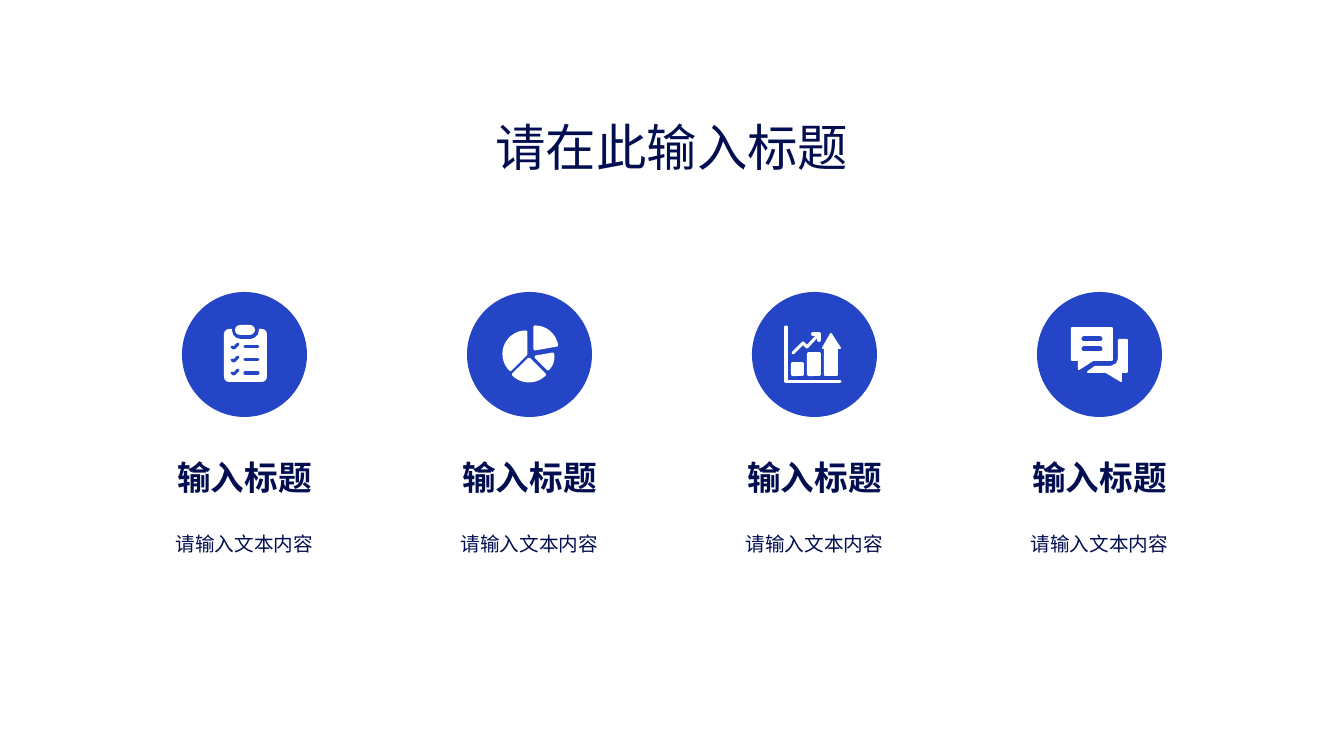
from math import cos, radians, sin

from lxml.etree import SubElement
from pptx import Presentation
from pptx.dml.color import RGBColor
from pptx.enum.shapes import MSO_CONNECTOR as Connector, MSO_SHAPE as Shape
from pptx.enum.text import MSO_ANCHOR as Anchor, MSO_AUTO_SIZE as AutoSize, PP_ALIGN as Align
from pptx.oxml.ns import qn
from pptx.util import Pt

COLORS = {"blue": "2345C6", "navy": "020E50", "white": "FFFFFF"}
FONT = "Calibri"
EMU_PER_PX = 914400 / 100.8


def px(length):
    return round(length * EMU_PER_PX)


def color(name):
    return RGBColor.from_string(COLORS[name])


class Canvas:
    """Style and current slide; icon parts are placed relative to origin."""

    def __init__(self, deck):
        self.slide = deck.slides.add_slide(deck.slide_layouts[5])
        self.shapes = self.slide.shapes
        self.origin = (0, 0)

    def at(self, x, y):
        return px(self.origin[0] + x), px(self.origin[1] + y)

    def style_text(self, holder, text, size, bold=False):
        frame = holder.text_frame
        frame.text = text
        frame.word_wrap = True
        frame.auto_size = AutoSize.NONE
        frame.vertical_anchor = Anchor.TOP
        paragraph = frame.paragraphs[0]
        paragraph.alignment = Align.CENTER
        font = paragraph.runs[0].font
        font.name, font.size, font.bold = FONT, Pt(size), bold
        font.color.rgb = color("navy")

    def title(self, text, left, top, width, height, size):
        title = self.shapes.title
        title.left, title.top = px(left), px(top)
        title.width, title.height = px(width), px(height)
        self.style_text(title, text, size)

    def text(self, text, x, y, width, height, size, bold=False):
        box = self.shapes.add_textbox(*self.at(x, y), px(width), px(height))
        self.style_text(box, text, size, bold)

    def block(self, kind, x, y, width, height, fill="white", radius=0):
        block = self.shapes.add_shape(kind, *self.at(x, y), px(width), px(height))
        block.shadow.inherit = False
        block.fill.solid()
        block.fill.fore_color.rgb = color(fill)
        block.line.fill.background()
        if radius:
            block.adjustments[0] = radius / min(width, height)

    def round_stroke(self, shape, width, ink):
        shape.line.color.rgb = color(ink)
        shape.line.width = px(width)
        ln = shape._element.spPr.find(qn("a:ln"))
        ln.set("cap", "rnd")
        SubElement(ln, qn("a:round"))

    def outline(self, points, stroke, closed=True):
        start, *rest = [self.at(x, y) for x, y in points]
        builder = self.shapes.build_freeform(*start)
        builder.add_line_segments(rest, close=closed)
        outline = builder.convert_to_shape()
        outline.shadow.inherit = False
        if closed:
            outline.fill.solid()
            outline.fill.fore_color.rgb = color("white")
        else:
            outline.fill.background()
        self.round_stroke(outline, stroke, "white")

    def sector(self, x, y, radius, first, last):
        arc = [(x + radius * cos(radians(a)), y + radius * sin(radians(a)))
               for a in range(first, last + 1, 5)]
        self.outline([(x, y), *arc], 3)

    def line(self, x1, y1, x2, y2, stroke):
        line = self.shapes.add_connector(
            Connector.STRAIGHT, *self.at(x1, y1), *self.at(x2, y2))
        self.round_stroke(line, stroke, "blue")
        SubElement(line._element.spPr, qn("a:effectLst"))


def checklist(canvas):
    # Board, clip gap and clip
    canvas.block(Shape.ROUNDED_RECTANGLE, 42, 37, 43, 53, radius=5)
    canvas.block(Shape.ROUNDED_RECTANGLE, 50, 29, 27, 18, "blue", radius=9)
    canvas.block(Shape.ROUNDED_RECTANGLE, 53, 33, 20, 10, radius=5)
    # Ticked rows
    for row in (55, 68, 81):
        canvas.line(50, row, 52, row + 1, 3)
        canvas.line(52, row + 1, 56, row - 3, 3)
        canvas.line(63, row, 76, row, 3)


def pie_slices(canvas):
    for slice_geometry in ((68, 57, 22, -90, -10), (62, 67, 22, 45, 135),
                           (69, 65, 17, -10, 45), (59, 62, 22, 135, 270)):
        canvas.sector(*slice_geometry)


def growth_chart(canvas):
    # Axes, trend line and its head
    canvas.outline([(34, 35), (34, 89), (88, 89)], 3, closed=False)
    canvas.outline([(41, 61), (51, 51), (55, 55), (67, 42)], 3, closed=False)
    canvas.outline([(61, 42), (67, 42), (67, 48)], 4, closed=False)
    # Bars and the rising arrow
    canvas.block(Shape.ROUNDED_RECTANGLE, 39, 70, 13, 14, radius=2)
    canvas.block(Shape.ROUNDED_RECTANGLE, 55, 60, 14, 24, radius=2)
    canvas.outline([(79, 42), (88, 56), (85, 56), (85, 83), (73, 83), (73, 56), (71, 56)], 2)


def chat_bubbles(canvas):
    # Back bubble, front bubble, then its two lines of text
    canvas.outline([(82, 48), (90, 48), (90, 80), (84, 80), (84, 89), (69, 80),
                    (51, 80), (58, 75), (74, 75), (80, 72), (82, 67)], 2)
    canvas.outline([(35, 36), (75, 36), (75, 68), (56, 68), (42, 77), (42, 68), (35, 68)], 2)
    for row in (47, 57):
        canvas.line(47, row, 63, row, 5)


def main():
    deck = Presentation()
    deck.slide_width, deck.slide_height = px(1344), px(756)
    canvas = Canvas(deck)
    canvas.title("请在此输入标题", 182, 111, 980, 72, 36)

    # Four columns: disc with icon, heading, description
    for column, icon in enumerate((checklist, pie_slices, growth_chart, chat_bubbles)):
        canvas.origin = (182 + 285 * column, 292)
        canvas.block(Shape.OVAL, 0, 0, 125, 125, "blue")
        icon(canvas)
        canvas.text("输入标题", -61, 160, 247, 50, 24, bold=True)
        canvas.text("请输入文本内容", -61, 235, 247, 34, 14)

    deck.save("out.pptx")


if __name__ == "__main__":
    main()
